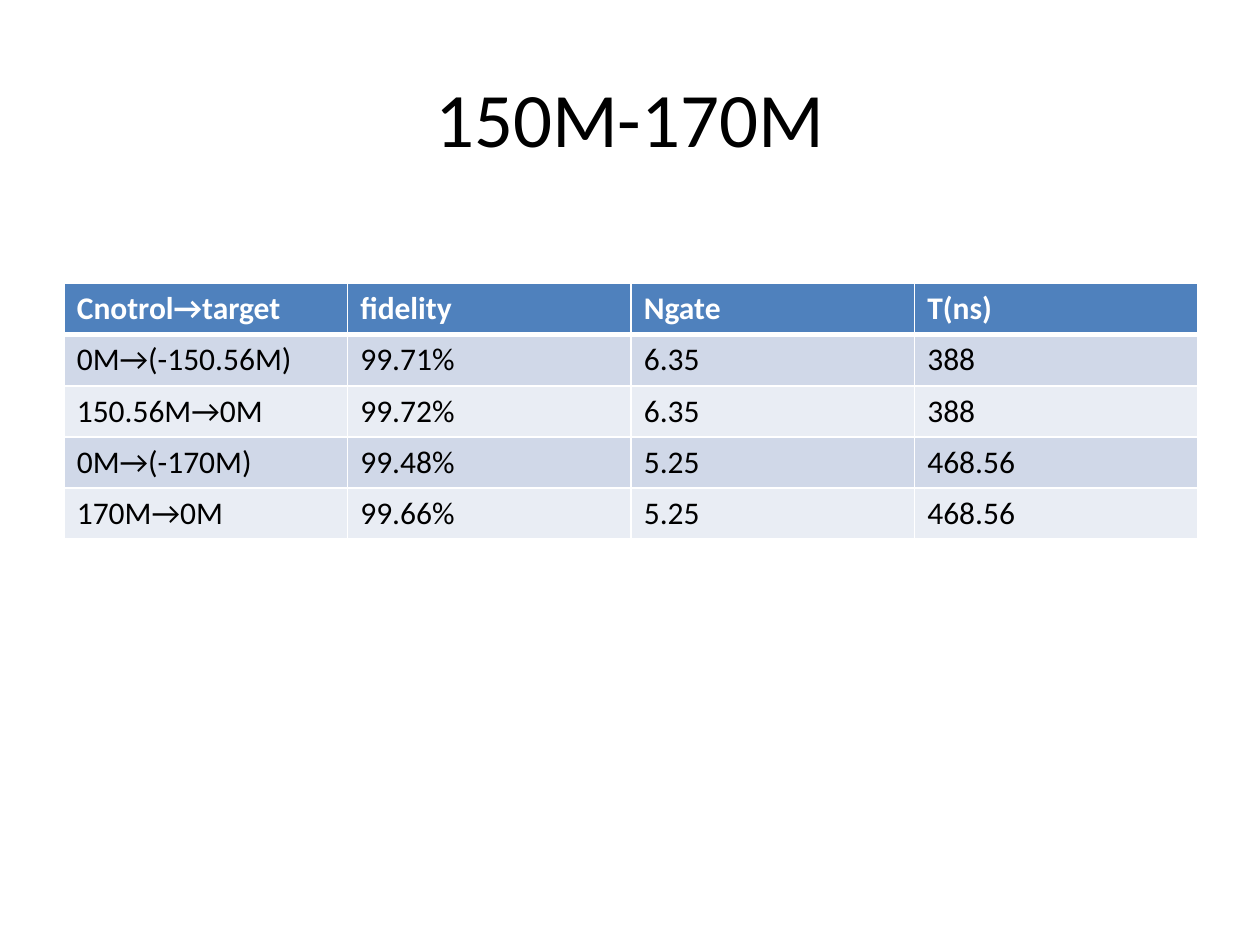
import dataclasses

import lxml.etree
import pptx
import pptx.dml.color
import pptx.enum.text
import pptx.oxml.ns
import pptx.util

Inches = pptx.util.Inches
Pt = pptx.util.Pt
RGB = pptx.dml.color.RGBColor
qn = pptx.oxml.ns.qn


@dataclasses.dataclass(frozen=True)
class Theme:
    font: str = "Calibri"
    title_size: int = 44
    cell_size: int = 18
    ink: str = "000000"
    paper: str = "FFFFFF"
    header: str = "4F81BD"
    bands: tuple[str, str] = ("D0D8E8", "E9EDF4")
    rule: float = 1
    header_rule: float = 3


@dataclasses.dataclass(frozen=True)
class Measurement:
    direction: str
    fidelity: str
    gates: str
    time: str


THEME = Theme()
HEADINGS = Measurement("Cnotrol→target", "fidelity", "Ngate", "T(ns)")
MEASUREMENTS = [
    Measurement("0M→(-150.56M)", "99.71%", "6.35", "388"),
    Measurement("150.56M→0M", "99.72%", "6.35", "388"),
    Measurement("0M→(-170M)", "99.48%", "5.25", "468.56"),
    Measurement("170M→0M", "99.66%", "5.25", "468.56"),
]


def write(paragraph, text: str, size: float, color: str, bold: bool = False) -> None:
    run = paragraph.add_run()
    run.text = text
    formats = {"name": THEME.font, "size": Pt(size), "bold": bold}
    for attribute, value in formats.items():
        setattr(run.font, attribute, value)
    run.font.color.rgb = RGB.from_string(color)


def set_borders(cell, widths: dict[str, float]) -> None:
    properties = cell._tc.get_or_add_tcPr()
    for side, width in widths.items():
        line = lxml.etree.SubElement(properties, qn(f"a:ln{side}"), w=str(Pt(width)))
        fill = lxml.etree.SubElement(line, qn("a:solidFill"))
        lxml.etree.SubElement(fill, qn("a:srgbClr"), val=THEME.paper)


def fill_cell(cell, text: str, row: int) -> None:
    is_header = row == 0
    top = THEME.header_rule if row == 1 else THEME.rule
    bottom = THEME.header_rule if is_header else THEME.rule
    set_borders(cell, {"L": THEME.rule, "R": THEME.rule, "T": top, "B": bottom})
    background = THEME.header if is_header else THEME.bands[(row - 1) % 2]
    cell.fill.solid()
    cell.fill.fore_color.rgb = RGB.from_string(background)
    color = THEME.paper if is_header else THEME.ink
    write(cell.text_frame.paragraphs[0], text, THEME.cell_size, color, is_header)


presentation = pptx.Presentation()
presentation.slide_width = Inches(10)
presentation.slide_height = Inches(7.5)
slide = presentation.slides.add_slide(presentation.slide_layouts[6])

# Title
title = slide.shapes.add_textbox(Inches(0.5), Inches(0.3), Inches(9), Inches(1.25)).text_frame
title_formats = {"word_wrap": True, "vertical_anchor": pptx.enum.text.MSO_ANCHOR.MIDDLE}
for attribute, value in title_formats.items():
    setattr(title, attribute, value)
title.paragraphs[0].alignment = pptx.enum.text.PP_ALIGN.CENTER
write(title.paragraphs[0], "150M-170M", THEME.title_size, THEME.ink)

# Fidelity table: a header and alternating bands
rows = [dataclasses.astuple(entry) for entry in [HEADINGS, *MEASUREMENTS]]
fidelity_table = slide.shapes.add_table(
    len(rows), len(rows[0]), Inches(0.51), Inches(2.25), Inches(9), Inches(2.03)
).table
for row, texts in enumerate(rows):
    for column, text in enumerate(texts):
        fill_cell(fidelity_table.cell(row, column), text, row)

presentation.save("out.pptx")
